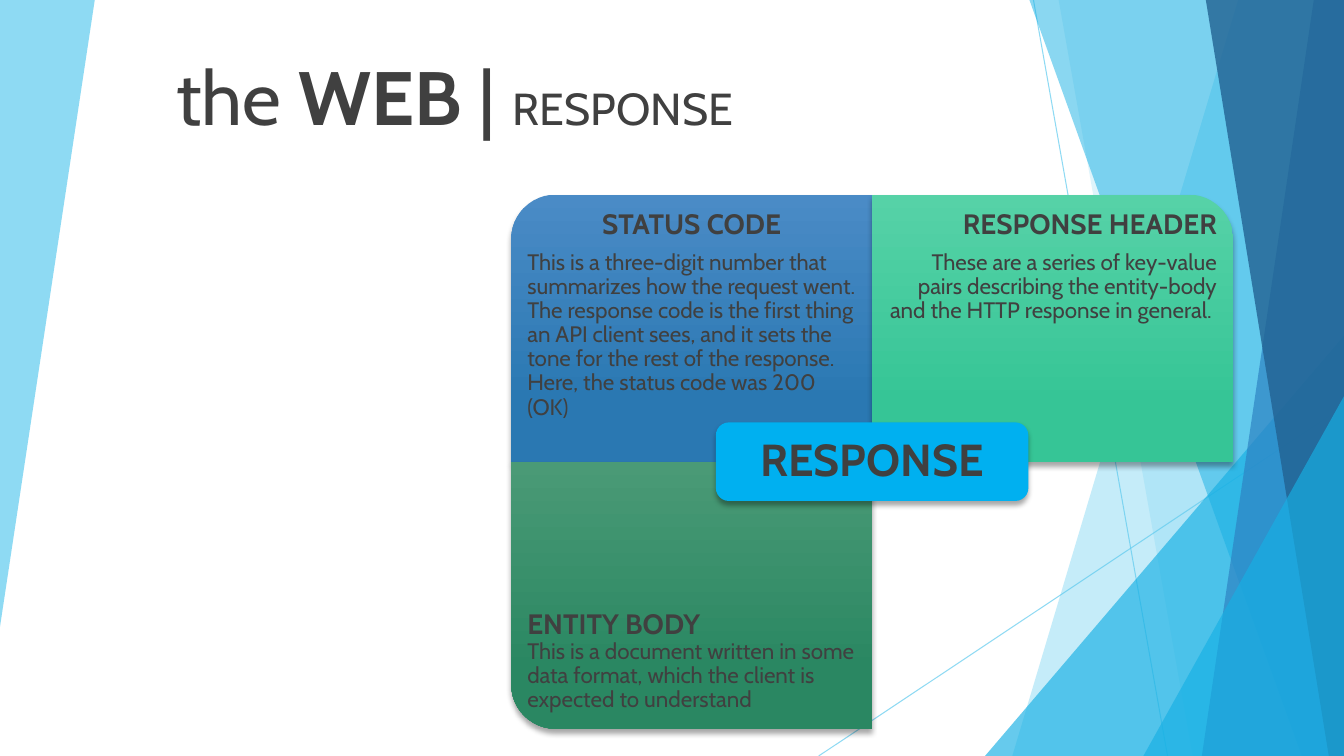
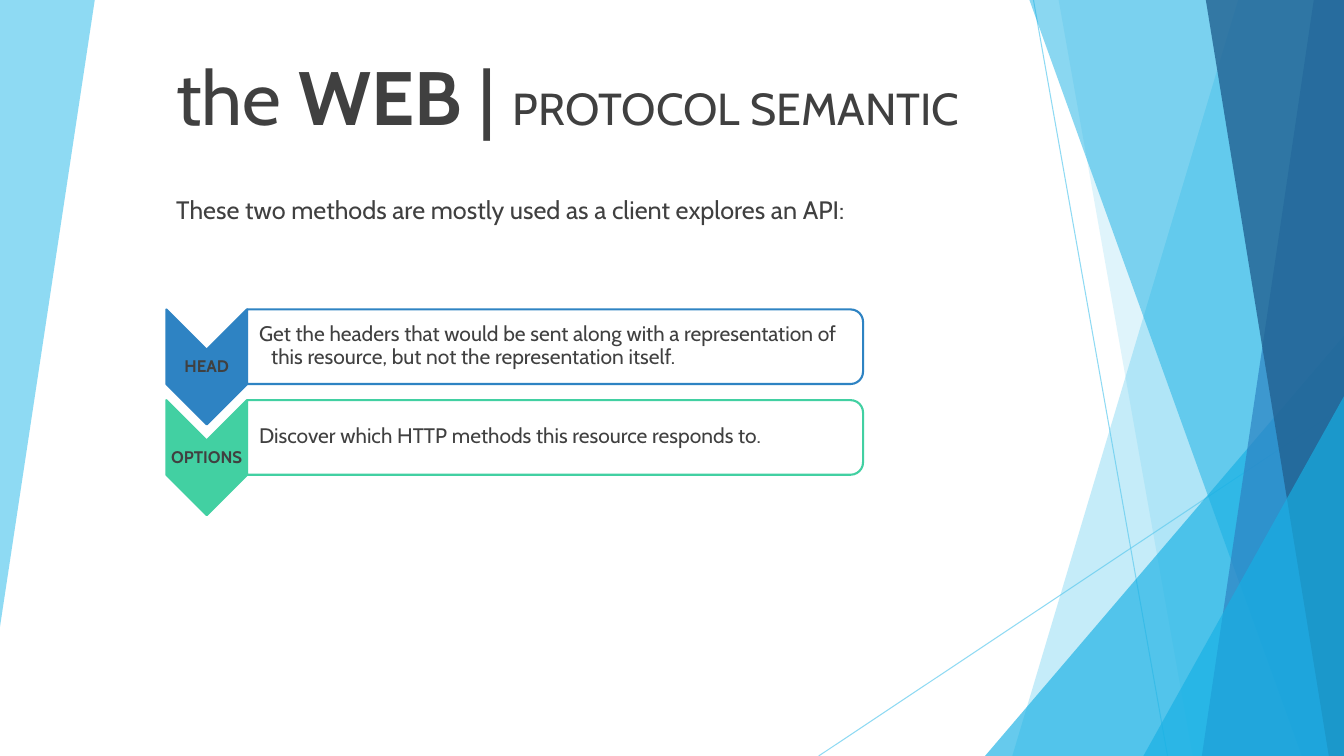
from lxml import etree
from pptx import Presentation
from pptx.dml.color import RGBColor
from pptx.enum.shapes import MSO_CONNECTOR, MSO_SHAPE
from pptx.enum.text import MSO_ANCHOR, PP_ALIGN
from pptx.oxml.ns import qn
from pptx.util import Inches, Pt

LEFT, CENTER, RIGHT = PP_ALIGN.LEFT, PP_ALIGN.CENTER, PP_ALIGN.RIGHT
TOP, MIDDLE, BOTTOM = MSO_ANCHOR.TOP, MSO_ANCHOR.MIDDLE, MSO_ANCHOR.BOTTOM
ONE_ROUND = MSO_SHAPE.ROUND_1_RECTANGLE
TWO_ROUND = MSO_SHAPE.ROUND_2_SAME_RECTANGLE
ROUNDED = MSO_SHAPE.ROUNDED_RECTANGLE
CHEVRON = MSO_SHAPE.CHEVRON
STRAIGHT = MSO_CONNECTOR.STRAIGHT

WIDTH, HEIGHT = 13.33, 7.5
FONT, INK, WHITE = "Cabin", "404040", "FFFFFF"
SKY, CYAN, BLUE, NAVY, GREEN = "5FCBEF", "17B0E4", "2E83C3", "226292", "42D0A2"
BUTTON = "00B0F0"

LEFT_BAND = ([(0, 0), (0.94, 0), (0, 6.22)], SKY, 70)
RAYS = [((10.25, 0), (11.58, HEIGHT)), ((WIDTH, 4.03), (8.12, HEIGHT))]


def right_band(top, bottom, color, alpha):
    """Band that runs from its slanted left edge to the slide's right edge."""
    return [(top, 0), (WIDTH, 0), (WIDTH, HEIGHT), (bottom, HEIGHT)], color, alpha


def corner_triangle(left, top):
    return [(WIDTH, top), (WIDTH, HEIGHT), (left, HEIGHT)], CYAN, 66


BANDS = [
    LEFT_BAND,
    right_band(12.28, 10.04, SKY, 36),
    right_band(10.5, 11.83, SKY, 20),
    corner_triangle(9.77, 3.33),
    right_band(10.21, 12.91, CYAN, 50),
    right_band(13.03, 11.92, BLUE, 70),
    right_band(11.96, 13.18, NAVY, 80),
    corner_triangle(11.34, 3.93),
]


def rgb(color):
    return RGBColor.from_string(color)


def set_alpha(sp, percent):
    for clr in sp.element.spPr.iter(qn("a:srgbClr")):
        etree.SubElement(clr, qn("a:alpha"), val=str(percent * 1000))


class Deck:
    def __init__(self):
        self.prs = Presentation()
        self.prs.slide_width, self.prs.slide_height = Inches(WIDTH), Inches(HEIGHT)
        self.s = None

    def new_slide(self, topic):
        self.s = self.prs.slides.add_slide(self.prs.slide_layouts[6])
        for start, end in RAYS:
            self.ray(start, end)
        for points, color, alpha in BANDS:
            self.band(points, color, alpha)
        title = [("the", 54, False), (" WEB ", 54, True), ("| ", 54, False), (topic, 32, False)]
        self.text((1.65, 0.38, 10.44, 1.06), [title], anchor=BOTTOM, inset=None)

    def ray(self, start, end):
        line = self.s.shapes.add_connector(STRAIGHT, *map(Inches, start + end))
        line.line.color.rgb = rgb(SKY)
        line.line.width = Pt(0.75)
        set_alpha(line, 70)
        etree.SubElement(line.element.spPr, qn("a:effectLst"))

    def band(self, points, color, alpha):
        corners = [(Inches(x), Inches(y)) for x, y in points]
        builder = self.s.shapes.build_freeform(*corners[0])
        builder.add_line_segments(corners[1:], close=True)
        sp = builder.convert_to_shape()
        self.paint(sp, color, alpha)

    def paint(self, sp, color, alpha=None, line=None):
        sp.shadow.inherit = False
        sp.fill.solid()
        sp.fill.fore_color.rgb = rgb(color)
        if alpha:
            set_alpha(sp, alpha)
        if line:
            sp.line.color.rgb = rgb(line)
            sp.line.width = Pt(1.5)
        else:
            sp.line.fill.background()

    def shape(self, kind, box, color, rotation=0, alpha=None, line=None):
        """Add a shape that covers box once it is rotated."""
        x, y, w, h = box
        if rotation % 180:
            x, y, w, h = x + (w - h) / 2, y + (h - w) / 2, h, w
        sp = self.s.shapes.add_shape(kind, *map(Inches, (x, y, w, h)))
        sp.rotation = rotation
        self.paint(sp, color, alpha, line)
        return sp

    def gradient(self, sp, top, bottom):
        sp.fill.gradient()
        sp.fill.gradient_angle = 270
        for stop, color, position in zip(sp.fill.gradient_stops, (top, bottom), (0, 0.78)):
            stop.color.rgb = rgb(color)
            stop.position = position
        sp.element.spPr.find(qn("a:gradFill")).set("rotWithShape", "0")

    def drop_shadow(self, sp):
        effects = sp.element.spPr.find(qn("a:effectLst"))
        shadow = etree.SubElement(effects, qn("a:outerShdw"), blurRad=str(Pt(4)),
                                  dist=str(Pt(3)), dir="5400000", rotWithShape="0")
        clr = etree.SubElement(shadow, qn("a:srgbClr"), val="000000")
        etree.SubElement(clr, qn("a:alpha"), val="35000")

    def text(self, box, paragraphs, **style):
        tb = self.s.shapes.add_textbox(*map(Inches, box))
        self.fill_text(tb.text_frame, paragraphs, **style)

    def fill_text(self, tf, paragraphs, aligns=(LEFT,), anchor=TOP, inset=0.01,
                  left_inset=None, spacing=None, after=0, hanging=0):
        """Fill tf; a paragraph is a list of (text, size, bold) runs, after a share of its size."""
        tf.word_wrap = True
        tf.vertical_anchor = anchor
        if inset is not None:
            tf.margin_left = Inches(left_inset or inset)
            tf.margin_top = tf.margin_right = tf.margin_bottom = Inches(inset)
        for i, runs in enumerate(paragraphs):
            p = tf.add_paragraph() if i else tf.paragraphs[0]
            p.alignment = aligns[i % len(aligns)]
            p.line_spacing = spacing
            p.space_after = Pt(round(runs[0][1] * after, 1))
            p.font.name = FONT
            p.font.color.rgb = rgb(INK)
            if hanging:
                pPr = p._p.get_or_add_pPr()
                pPr.set("marL", str(Inches(hanging)))
                pPr.set("indent", str(-Inches(hanging)))
            for words, size, bold in runs:
                if words == "\n":
                    p.add_line_break()
                    continue
                r = p.add_run()
                r.text = words
                font = p.font if len(runs) == 1 else r.font
                font.size, font.bold = Pt(size), bold

    def quadrant(self, box, rotation, colors, paragraphs, aligns=(LEFT,), anchor=TOP):
        sp = self.shape(ONE_ROUND, box, colors[0], rotation)
        self.gradient(sp, *colors)
        self.drop_shadow(sp)
        x, y, w, h = box
        text_h = 1.99
        text_y = y + h - text_h if anchor == BOTTOM else y
        self.text((x, text_y, w, text_h), paragraphs, aligns=aligns, anchor=anchor,
                  inset=0.16, spacing=0.9, after=0.35)

    def button(self, box, label):
        sp = self.shape(ROUNDED, box, BUTTON)
        self.drop_shadow(sp)
        self.fill_text(sp.text_frame, [[(label, 32, True)]], aligns=(CENTER,),
                       anchor=MIDDLE, inset=0.13, spacing=0.9)

    def method_row(self, y, color, name, description):
        self.shape(CHEVRON, (1.65, y, 0.8, 1.14), color, 90, line=color)
        self.text((1.65, y + 0.4, 0.8, 0.34), [[(name, 12, True)]], aligns=(CENTER,),
                  anchor=MIDDLE, spacing=0.9)
        self.shape(TWO_ROUND, (2.45, y, 6.11, 0.74), WHITE, 90, alpha=90, line=color)
        self.text((2.45, y + 0.03, 6.07, 0.67), [[(description, 15, False)]], anchor=MIDDLE,
                  left_inset=0.12, spacing=0.9, hanging=0.12)


def response_slide(deck):
    deck.new_slide("RESPONSE")
    x, y, w, h = 5.07, 1.93, 3.58, 2.65
    deck.quadrant((x, y, w, h), 270, ("4A8BC6", "2A78B2"), [
        [("STATUS CODE", 20, True)],
        [("This is a three-digit number that summarizes how the request went. "
          "The response code is the first thing an API client sees, and it sets the tone "
          "for the rest of the response. Here, the status code was 200 (OK)", 16, False)],
    ], aligns=(CENTER, LEFT))
    deck.quadrant((x + w, y, w, h), 0, ("56D2A7", "36C596"), [
        [("RESPONSE HEADER", 20, True)],
        [("These are a series of key-value pairs describing the entity-body "
          "and the HTTP response in general. ", 16, False)],
    ], aligns=(RIGHT,))
    deck.quadrant((x, y + h, w, h), 180, ("4A9A76", "2A8762"), [
        [("ENTITY BODY", 20, True), ("\n", 20, True),
         ("This is a document written in some data format, which the client is "
          "expected to understand", 16, False)],
    ], anchor=BOTTOM)
    button_w, button_h = 3.1, 0.78
    deck.button((x + w - button_w / 2, y + h - button_h / 2, button_w, button_h), "RESPONSE")


def semantic_slide(deck):
    deck.new_slide("PROTOCOL SEMANTIC")
    deck.text((1.65, 1.88, 8.83, 0.43), [
        [("These two methods are mostly used as a client explores an API:", 18, False)],
    ], inset=None)
    rows = [
        (BLUE, "HEAD", "Get the headers that would be sent along with a representation of "
                       "this resource, but not the representation itself."),
        (GREEN, "OPTIONS", "Discover which HTTP methods this resource responds to."),
    ]
    for i, row in enumerate(rows):
        deck.method_row(3.07 + 0.9 * i, *row)


def main():
    deck = Deck()
    response_slide(deck)
    semantic_slide(deck)
    deck.prs.save("out.pptx")


if __name__ == "__main__":
    main()
